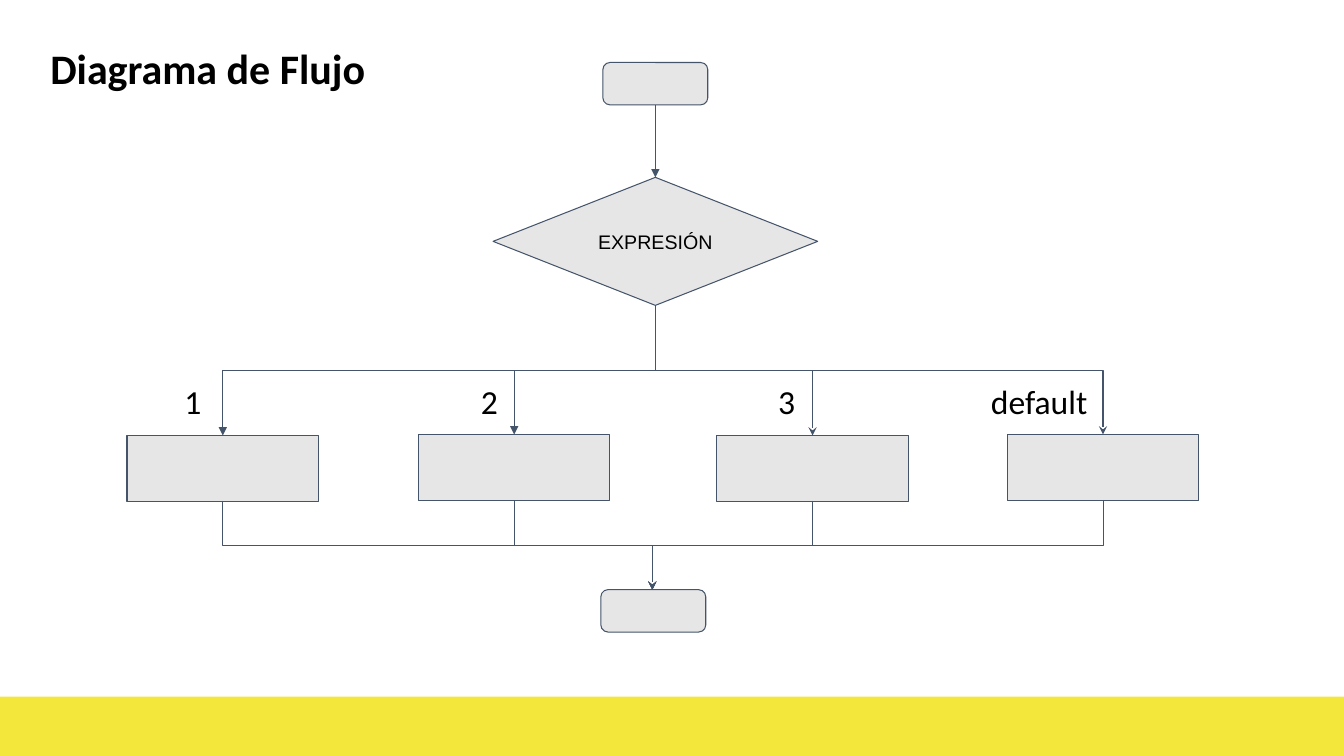
from lxml import etree
from pptx import Presentation
from pptx.dml.color import RGBColor
from pptx.enum.shapes import MSO_CONNECTOR, MSO_SHAPE
from pptx.enum.text import MSO_ANCHOR, PP_ALIGN
from pptx.oxml.ns import qn
from pptx.util import Inches, Pt

RECTANGLE = MSO_SHAPE.RECTANGLE
ROUNDED = MSO_SHAPE.ROUNDED_RECTANGLE
DIAMOND = MSO_SHAPE.DIAMOND
STRAIGHT = MSO_CONNECTOR.STRAIGHT
ELBOW = MSO_CONNECTOR.ELBOW
MIDDLE = MSO_ANCHOR.MIDDLE
CENTER = PP_ALIGN.CENTER

COLORS = {"band": "F4E73C", "node": "E7E6E6", "line": "44546A", "text": "000000"}
COLORS = {name: RGBColor.from_string(value) for name, value in COLORS.items()}

presentation = Presentation()
presentation.slide_width = Inches(13.33)
presentation.slide_height = Inches(7.5)
slide = presentation.slides.add_slide(presentation.slide_layouts[6])
shapes = slide.shapes

# Yellow footer band
band = shapes.add_shape(RECTANGLE, 0, Inches(6.91), Inches(13.33), Inches(0.59))
band.shadow.inherit = False
band.fill.solid()
band.fill.fore_color.rgb = COLORS["band"]
band.line.fill.background()

# Flowchart nodes: start, decision, four cases, end
CASES = [  # box left, box top, arrowhead, label, label left, label width
    (1.26, 4.32, "triangle", "1", 1.73, 0.35),
    (4.15, 4.31, "triangle", "2", 4.67, 0.35),
    (7.11, 4.32, "stealth", "3", 7.62, 0.35),
    (9.99, 4.31, "stealth", "default", 9.73, 1.29),
]
CASE_WIDTH, CASE_HEIGHT = 1.9, 0.66
nodes = [(ROUNDED, 5.98, 0.62, 1.04, 0.42), (DIAMOND, 4.89, 1.76, 3.22, 1.27)]
nodes += [(RECTANGLE, case[0], case[1], CASE_WIDTH, CASE_HEIGHT) for case in CASES]
nodes.append((ROUNDED, 5.96, 5.85, 1.04, 0.42))
for kind, left, top, width, height in nodes:
    node = shapes.add_shape(kind, Inches(left), Inches(top), Inches(width), Inches(height))
    node.shadow.inherit = False
    node.fill.solid()
    node.fill.fore_color.rgb = COLORS["node"]
    node.line.color.rgb = COLORS["line"]
    node.line.width = Pt(0.75)
    if kind == DIAMOND:
        decision = node


def add_arrow(start_x, start_y, end_x, end_y, head):
    """Downward arrow; a sideways one is an elbow turned to leave vertically."""
    if start_x == end_x:
        kind, rotation = STRAIGHT, 0
        points = (start_x, start_y, end_x, end_y)
    else:
        center_x, center_y = (start_x + end_x) / 2, (start_y + end_y) / 2
        half_drop, half_run = (end_y - start_y) / 2, abs(end_x - start_x) / 2
        kind, rotation = ELBOW, 90
        if end_x > start_x:
            half_drop, rotation = -half_drop, 270
        points = (center_x - half_drop, center_y - half_run,
                  center_x + half_drop, center_y + half_run)
    arrow = shapes.add_connector(kind, *[Inches(value) for value in points])
    arrow.rotation = rotation
    arrow.line.color.rgb = COLORS["line"]
    arrow.line.width = Pt(0.75)
    etree.SubElement(arrow.line._get_or_add_ln(), qn("a:tailEnd"), type=head)
    etree.SubElement(arrow._element.spPr, qn("a:effectLst"))


def write(shape, text, size, font="Calibri", bold=False):
    frame = shape.text_frame
    frame.word_wrap = True
    frame.margin_left = frame.margin_right = Inches(0.1)
    frame.margin_top = frame.margin_bottom = Inches(0.1)
    frame.text = text
    run = frame.paragraphs[0].runs[0]
    run.font.name = font
    run.font.size = Pt(size)
    run.font.bold = bold
    run.font.color.rgb = COLORS["text"]


write(decision, "EXPRESIÓN", 14, font="Arial")
decision.text_frame.vertical_anchor = MIDDLE
decision.text_frame.paragraphs[0].alignment = CENTER

title = shapes.add_textbox(Inches(0.4), Inches(0.32), Inches(5.79), Inches(0.42))
write(title, "Diagrama de Flujo", 30, bold=True)

# Branches into and out of each case
add_arrow(6.5, 1.04, 6.5, 1.76, "triangle")
for left, top, head, label, label_left, label_width in CASES:
    middle = left + CASE_WIDTH / 2
    add_arrow(6.5, 3.04, middle, top, head)
    add_arrow(middle, 4.97, 6.47, 5.85, "stealth")
    box = shapes.add_textbox(Inches(label_left), Inches(3.68), Inches(label_width), Inches(0.48))
    write(box, label, 24)

presentation.save("out.pptx")
